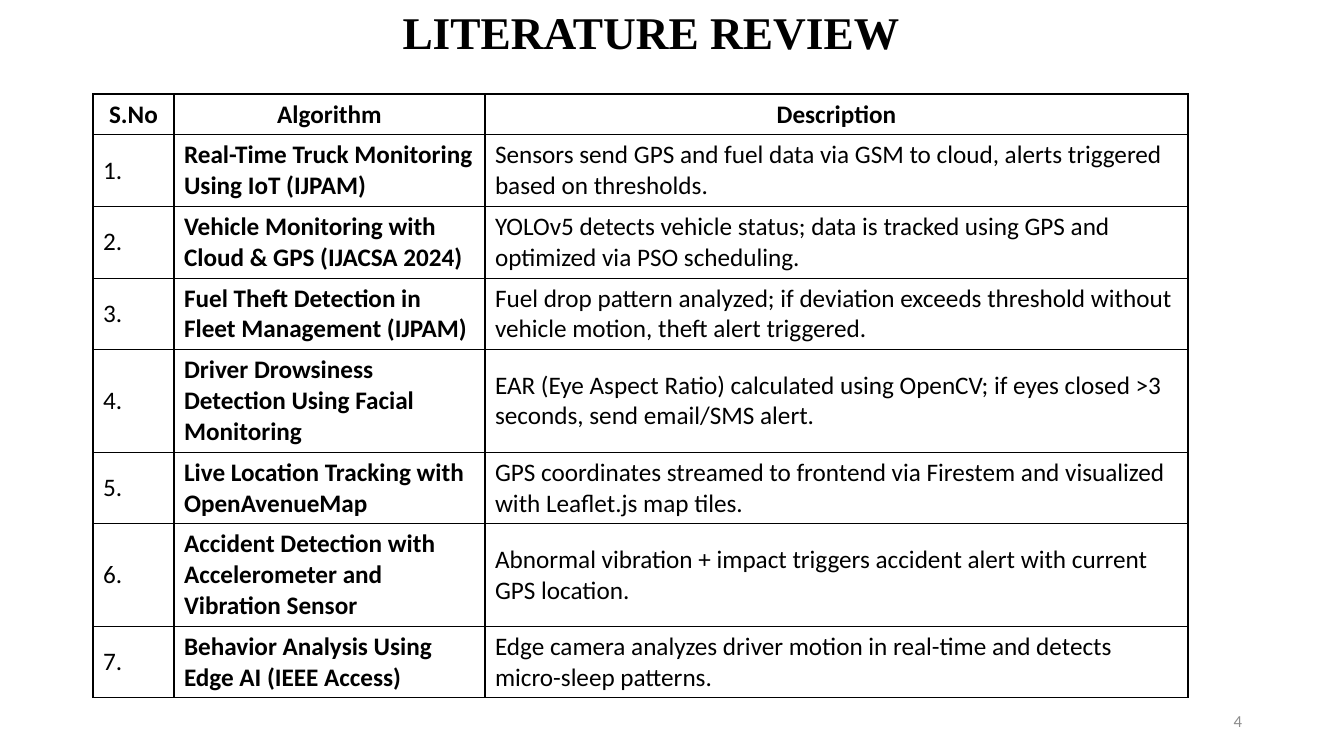
"""Build the literature review slide with its table of algorithms."""
from lxml.etree import SubElement
from pptx import Presentation
from pptx.dml.color import RGBColor
from pptx.enum.text import MSO_ANCHOR, MSO_AUTO_SIZE, PP_ALIGN
from pptx.oxml.ns import qn
from pptx.util import Pt

PX = 12192000 / 1344
ROWS = [
    ("S.No", "Algorithm", "Description"),
    ("1.", "Real-Time Truck Monitoring Using IoT (IJPAM)",
     "Sensors send GPS and fuel data via GSM to cloud, alerts triggered based on thresholds."),
    ("2.", "Vehicle Monitoring with Cloud & GPS (IJACSA 2024)",
     "YOLOv5 detects vehicle status; data is tracked using GPS and optimized via PSO scheduling."),
    ("3.", "Fuel Theft Detection in Fleet Management (IJPAM)",
     "Fuel drop pattern analyzed; if deviation exceeds threshold without vehicle motion, theft alert triggered."),
    ("4.", "Driver Drowsiness Detection Using Facial Monitoring",
     "EAR (Eye Aspect Ratio) calculated using OpenCV; if eyes closed >3 seconds, send email/SMS alert."),
    ("5.", "Live Location Tracking with OpenAvenueMap",
     "GPS coordinates streamed to frontend via Firestem and visualized with Leaflet.js map tiles."),
    ("6.", "Accident Detection with Accelerometer and Vibration Sensor",
     "Abnormal vibration + impact triggers accident alert with current GPS location."),
    ("7.", "Behavior Analysis Using Edge AI (IEEE Access)",
     "Edge camera analyzes driver motion in real-time and detects micro-sleep patterns."),
]
WIDTHS = [81, 311, 703]
HEIGHTS = [40, 71, 71, 71, 102, 71, 102, 71]


def px(*sizes):
    """Turn pixel lengths into EMU."""
    return [round(size * PX) for size in sizes]


def write(frame, text, size, color, bold, align, font="Calibri"):
    """Add one styled run to the first paragraph of a frame."""
    para = frame.paragraphs[0]
    para.alignment = align
    run = para.add_run()
    run.text = text
    run.font.name = font
    run.font.size = Pt(size)
    run.font.bold = bold
    run.font.color.rgb = RGBColor.from_string(color)


deck = Presentation()
deck.slide_width, deck.slide_height = px(1344, 756)
slide = deck.slides.add_slide(deck.slide_layouts[5])

title = slide.shapes.title
title.left, title.top, title.width, title.height = px(40, 15, 1278, 40)
title.fill.solid()
title.fill.fore_color.rgb = RGBColor.from_string("FFFFFF")
head = title.text_frame
head.auto_size = MSO_AUTO_SIZE.NONE
head.vertical_anchor = MSO_ANCHOR.MIDDLE
head.margin_left, head.margin_right = px(10, 66)
write(head, "LITERATURE REVIEW", 32.4, "000000", True, PP_ALIGN.CENTER, "Times New Roman")
head.paragraphs[0].line_spacing = 0.9

box = px(93, 94, sum(WIDTHS), sum(HEIGHTS))
table = slide.shapes.add_table(len(ROWS), len(WIDTHS), *box).table
for column, width in zip(table.columns, px(*WIDTHS)):
    column.width = width
for row, height in zip(table.rows, px(*HEIGHTS)):
    row.height = height

for r, texts in enumerate(ROWS):
    for c, text in enumerate(texts):
        cell = table.cell(r, c)
        cell.vertical_anchor = MSO_ANCHOR.MIDDLE
        align = PP_ALIGN.CENTER if r == 0 else PP_ALIGN.LEFT
        write(cell.text_frame, text, 18, "000000", r == 0 or c == 1, align)
        props = cell._tc.get_or_add_tcPr()
        for side in ("lnL", "lnR", "lnT", "lnB"):
            line = SubElement(props, qn(f"a:{side}"), w=str(Pt(1)))
            fill = SubElement(line, qn("a:solidFill"))
            SubElement(fill, qn("a:srgbClr"), val="000000")
        cell.fill.background()

page = slide.shapes.add_textbox(*px(950, 701, 302, 40)).text_frame
page.word_wrap = True
page.vertical_anchor = MSO_ANCHOR.MIDDLE
write(page, "4", 12, "8C8C8C", False, PP_ALIGN.RIGHT)

deck.save("out.pptx")
